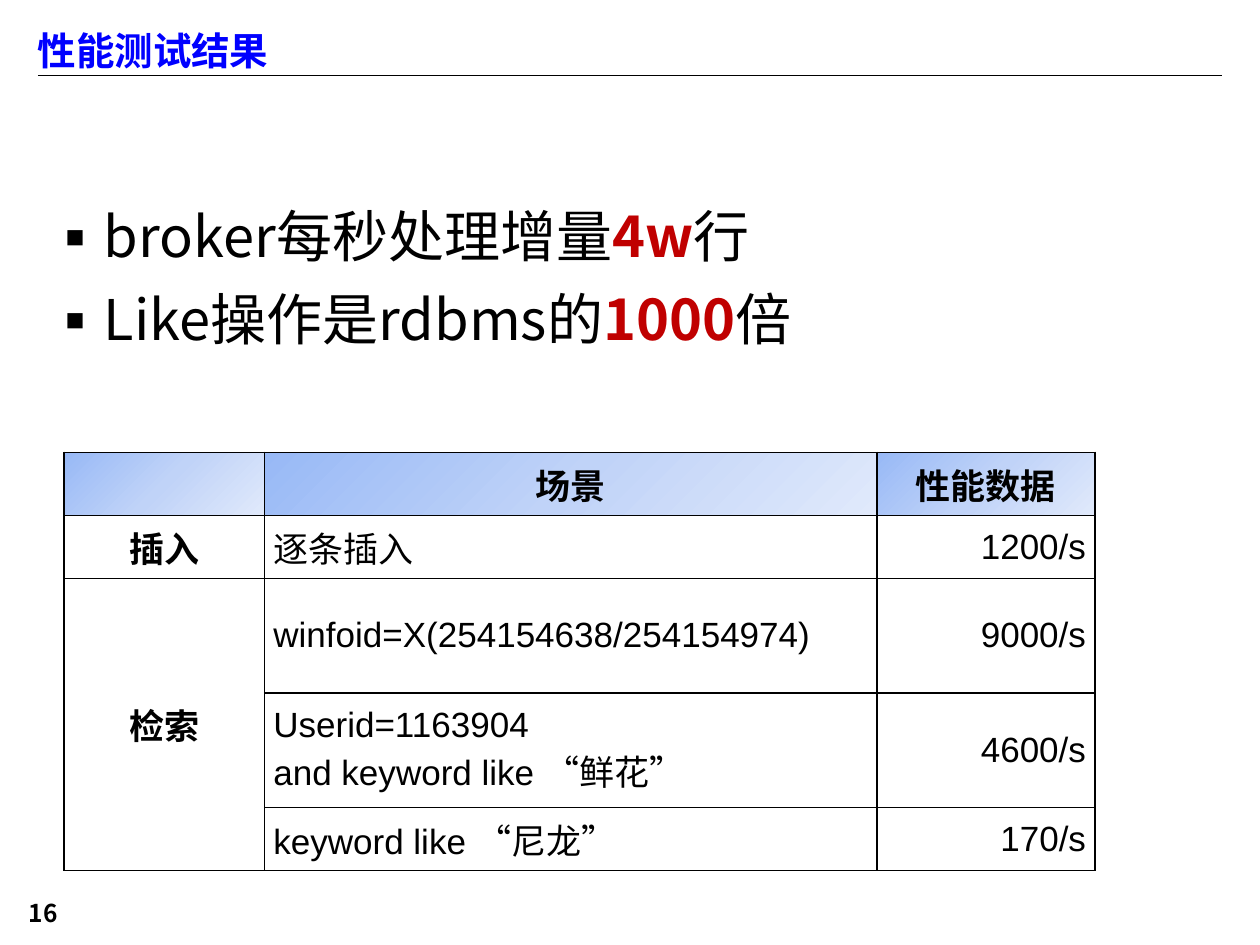
from lxml.etree import SubElement
from pptx import Presentation
from pptx.dml.color import RGBColor
from pptx.enum.shapes import MSO_CONNECTOR as Connector
from pptx.enum.text import MSO_ANCHOR as Anchor, MSO_AUTO_SIZE as AutoSize, PP_ALIGN as Align
from pptx.oxml.ns import qn
from pptx.util import Inches, Pt

CJK = "Noto Sans CJK SC"
BLACK, RED, BLUE = "000000", "C00000", "0000FF"
COLUMN_WIDTHS = [1.59, 4.86, 1.73]
ROW_HEIGHTS = [0.5, 0.5, 0.91, 0.91, 0.5]
COLUMN_ALIGNS = [Align.CENTER, Align.JUSTIFY, Align.RIGHT]
HEADER_STOPS = [(0, "98B9F6"), (50, "C0D3F8"), (100, "E0E9FB")]
RESULTS = [
    ["", "场景", "性能数据"],
    ["插入", "逐条插入", "1200/s"],
    ["检索", "winfoid=X(254154638/254154974)", "9000/s"],
    ["", "Userid=1163904\nand keyword like “鲜花”", "4600/s"],
    ["", "keyword like “尼龙”", "170/s"],
]
FINDINGS = [
    [("broker每秒处理增量", False), ("4w", True), ("行", False)],
    [("Like操作是rdbms的", False), ("1000", True), ("倍", False)],
]


def color(value):
    """Turn a hex string into a colour."""
    return RGBColor.from_string(value)


def add_run(paragraph, text, size, fill=BLACK, bold=False, font=CJK):
    """Add one formatted run with Latin and East Asian fonts."""
    run = paragraph.add_run()
    run.text = text
    run.font.size = Pt(size)
    run.font.bold = bold
    run.font.name = font
    run.font.color.rgb = color(fill)
    east_asian = SubElement(run.font._element, qn("a:ea"))
    east_asian.set("typeface", CJK)


def add_bullet(paragraph, character, indent):
    """Give a paragraph a hanging bullet."""
    properties = paragraph._p.get_or_add_pPr()
    properties.set("marL", str(Inches(indent)))
    properties.set("indent", str(-Inches(indent)))
    bullet_color = SubElement(properties, qn("a:buClr"))
    SubElement(bullet_color, qn("a:srgbClr")).set("val", BLACK)
    SubElement(properties, qn("a:buFont")).set("typeface", CJK)
    SubElement(properties, qn("a:buChar")).set("char", character)


def set_title(slide, text):
    """Place and fill the title placeholder."""
    title = slide.shapes.title
    title.left, title.top = Inches(0.2), Inches(0.21)
    title.width, title.height = Inches(9.5), Inches(0.7)
    frame = title.text_frame
    frame.auto_size = AutoSize.NONE
    frame.vertical_anchor = Anchor.TOP
    paragraph = frame.paragraphs[0]
    paragraph.alignment = Align.LEFT
    paragraph.line_spacing = 0.9
    add_run(paragraph, text, 22, BLUE, True)


def add_rule(slide):
    """Draw the line under the title."""
    rule = slide.shapes.add_connector(
        Connector.STRAIGHT, Inches(0.3), Inches(0.6), Inches(9.7), Inches(0.6))
    rule.line.color.rgb = color(BLACK)
    rule.line.width = Pt(0.75)
    SubElement(rule._element.spPr, qn("a:effectLst"))


def add_text_frame(slide, left, top, width, height):
    """Add a wrapping text box and return its frame."""
    box = slide.shapes.add_textbox(Inches(left), Inches(top), Inches(width), Inches(height))
    box.text_frame.word_wrap = True
    return box.text_frame


def add_findings(slide):
    """Add the bulleted findings with red figures."""
    frame = add_text_frame(slide, 0.28, 1.55, 9.5, 1.65)
    for index, runs in enumerate(FINDINGS):
        paragraph = frame.add_paragraph() if index else frame.paragraphs[0]
        paragraph.space_after = Pt(9)
        add_bullet(paragraph, "▪", 0.19)
        for text, key in runs:
            add_run(paragraph, text, 32, RED if key else BLACK, key)


def add_page_number(slide, number):
    """Add the page number at the bottom left."""
    frame = add_text_frame(slide, 0.07, 7.08, 1.33, 0.35)
    frame.margin_left, frame.margin_top = Inches(0.16), Inches(0.07)
    frame.paragraphs[0].line_spacing = 0.9
    add_run(frame.paragraphs[0], number, 14, bold=True)


def set_borders(cell):
    """Draw thin black borders round a cell."""
    properties = cell._tc.get_or_add_tcPr()
    for side in ("lnL", "lnR", "lnT", "lnB"):
        line = SubElement(properties, qn(f"a:{side}"), w=str(Pt(1)))
        fill = SubElement(line, qn("a:solidFill"))
        SubElement(fill, qn("a:srgbClr"), val=BLACK)


def set_header_fill(cell):
    """Fill a header cell with the diagonal gradient."""
    gradient = SubElement(cell._tc.get_or_add_tcPr(), qn("a:gradFill"), rotWithShape="1")
    stops = SubElement(gradient, qn("a:gsLst"))
    for position, value in HEADER_STOPS:
        stop = SubElement(stops, qn("a:gs"), pos=str(position * 1000))
        SubElement(stop, qn("a:srgbClr"), val=value)
    SubElement(gradient, qn("a:lin"), ang=str(45 * 60000), scaled="1")


def fill_cell(cell, text, align, bold):
    """Write and align the lines of a cell."""
    cell.vertical_anchor = Anchor.MIDDLE
    cell.margin_left = cell.margin_right = Inches(0.07)
    cell.margin_top = cell.margin_bottom = 0
    for index, line in enumerate(text.split("\n")):
        frame = cell.text_frame
        paragraph = frame.add_paragraph() if index else frame.paragraphs[0]
        paragraph.alignment = align
        if line:
            add_run(paragraph, line, 20, bold=bold, font="Arial")


def add_results(slide):
    """Add the table of performance results."""
    table = slide.shapes.add_table(
        len(RESULTS), len(COLUMN_WIDTHS), Inches(0.51), Inches(3.59),
        Inches(sum(COLUMN_WIDTHS)), Inches(sum(ROW_HEIGHTS))).table
    for column, width in zip(table.columns, COLUMN_WIDTHS):
        column.width = Inches(width)
    for row, height in zip(table.rows, ROW_HEIGHTS):
        row.height = Inches(height)
    for row_index, texts in enumerate(RESULTS):
        header = row_index == 0
        for column_index, text in enumerate(texts):
            cell = table.cell(row_index, column_index)
            align = Align.CENTER if header else COLUMN_ALIGNS[column_index]
            fill_cell(cell, text, align, header or column_index == 0)
            set_borders(cell)
            if header:
                set_header_fill(cell)
            else:
                cell.fill.background()
    table.cell(2, 0).merge(table.cell(4, 0))


def main():
    """Build the slide and save it."""
    presentation = Presentation()
    presentation.slide_width, presentation.slide_height = Inches(10), Inches(7.5)
    slide = presentation.slides.add_slide(presentation.slide_layouts[5])
    add_rule(slide)
    add_page_number(slide, "16")
    set_title(slide, "性能测试结果")
    add_findings(slide)
    add_results(slide)
    presentation.save("out.pptx")


if __name__ == "__main__":
    main()
